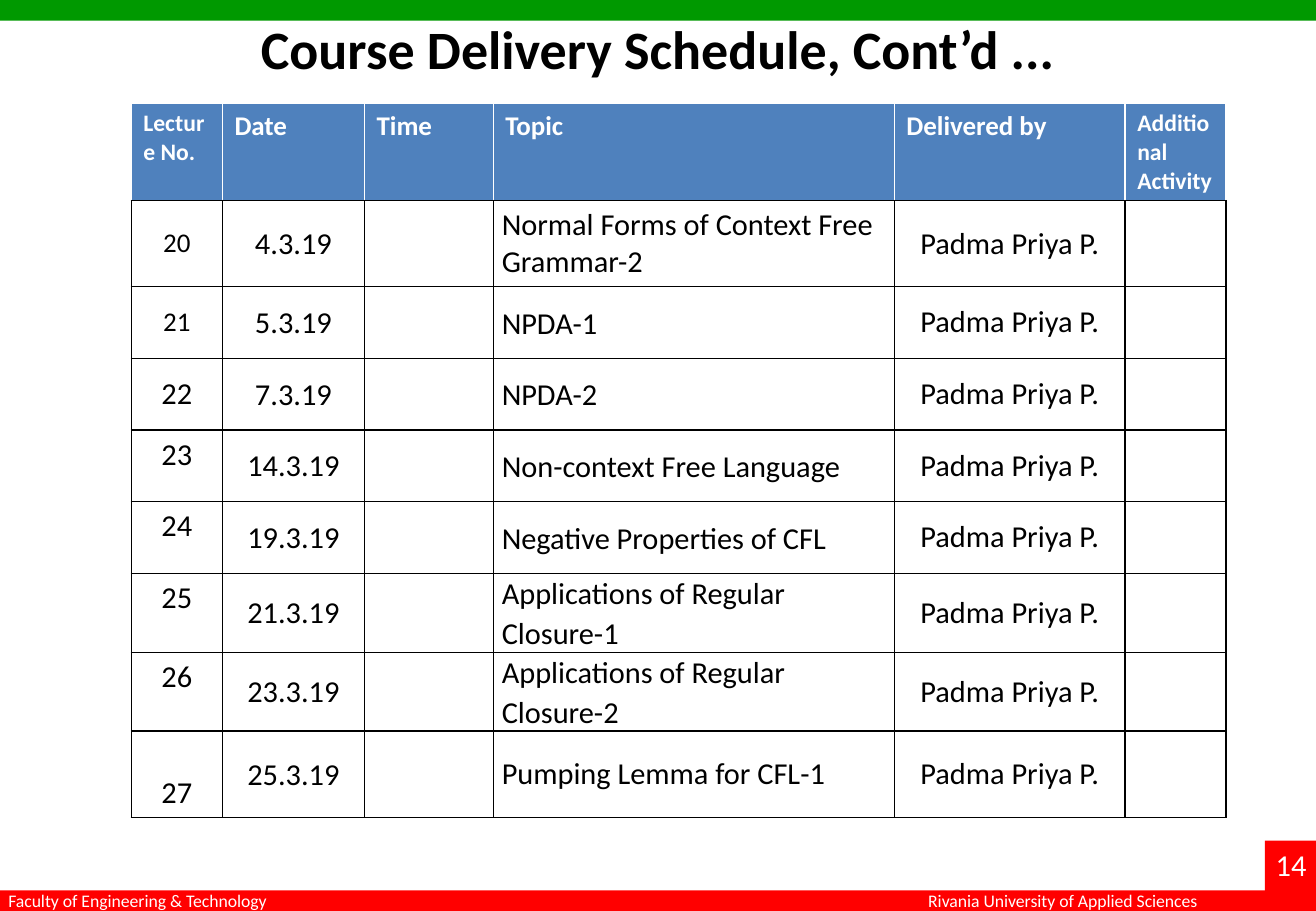
import pptx
import pptx.util
import pptx.dml.color
import pptx.enum.shapes
import pptx.enum.text
import pptx.oxml

Inches, Pt = pptx.util.Inches, pptx.util.Pt
RGB = pptx.dml.color.RGBColor.from_string
ALIGN, ANCHOR = pptx.enum.text.PP_ALIGN, pptx.enum.text.MSO_ANCHOR

THEME = {
    "font": "Calibri", "green": "009900", "red": "FF0000", "blue": "4F81BD",
    "white": "FFFFFF", "black": "000000",
    "title": 32, "body": 18, "head": 16, "small": 14, "footer": 10.5,
}
W, H = 10.83, 7.5
BAR = 0.17
BORDER = (
    '<a:{side} xmlns:a="http://schemas.openxmlformats.org/drawingml/2006/main" w="12700">'
    '<a:solidFill><a:srgbClr val="{color}"/></a:solidFill></a:{side}>'
)

prs = pptx.Presentation()
prs.slide_width, prs.slide_height = Inches(W), Inches(H)
s = prs.slides.add_slide(prs.slide_layouts[6])


def write(tf, text, size, color, align=ALIGN.LEFT, bold=False):
    tf.text = text
    p = tf.paragraphs[0]
    p.alignment = align
    for r in p.runs:
        r.font.name, r.font.size, r.font.bold = THEME["font"], Pt(size), bold
        r.font.color.rgb = RGB(THEME[color])
    return p


def style_cell(cell, fill, sides):
    tcPr = cell._tc.get_or_add_tcPr()
    for side, color in sides.items():
        tcPr.append(pptx.oxml.parse_xml(BORDER.format(side=side, color=THEME[color])))
    cell.fill.solid()
    cell.fill.fore_color.rgb = RGB(THEME[fill])


# Top bar, bottom bar and page number block
for x, y, w, h, color in [
    (0, 0, W, BAR, "green"),
    (0, H - BAR, W, BAR, "red"),
    (W - 0.42, H - 0.58, 0.42, 0.58, "red"),
]:
    sp = s.shapes.add_shape(pptx.enum.shapes.MSO_SHAPE.RECTANGLE,
                            Inches(x), Inches(y), Inches(w), Inches(h))
    sp.shadow.inherit = False
    sp.fill.solid()
    sp.fill.fore_color.rgb = RGB(THEME[color])
    sp.line.fill.background()

# Footer texts and page number
for x, y, w, h, text, size in [
    (-0.03, 7.28, 2.38, 0.28, "Faculty of Engineering & Technology", THEME["footer"]),
    (7.54, 7.28, 2.55, 0.28, "Rivania University of Applied Sciences", THEME["footer"]),
    (10.4, 6.92, 0.5, 0.4, "14", THEME["body"]),
]:
    sp = s.shapes.add_textbox(Inches(x), Inches(y), Inches(w), Inches(h))
    sp.text_frame.word_wrap = False
    write(sp.text_frame, text, size, "white")

# Title
sp = s.shapes.add_textbox(Inches(W * 0.05), Inches(0.05), Inches(W * 0.9), Inches(0.62))
tf = sp.text_frame
tf.word_wrap = True
tf.margin_top = Inches(0.08)
write(tf, "Course Delivery Schedule, Cont’d ...", THEME["title"], "black", ALIGN.CENTER, True)

# Schedule data
headers = ["Lecture No.", "Date", "Time", "Topic", "Delivered by", "Additional Activity"]
lectures = [
    ("4.3.19", "Normal Forms of Context Free Grammar-2"),
    ("5.3.19", "NPDA-1"),
    ("7.3.19", "NPDA-2"),
    ("14.3.19", "Non-context Free Language"),
    ("19.3.19", "Negative Properties of CFL"),
    ("21.3.19", "Applications of Regular Closure-1"),
    ("23.3.19", "Applications of Regular Closure-2"),
    ("25.3.19", "Pumping Lemma for CFL-1"),
]
FIRST, LAST = 20, 27
col_widths = [0.75, 1.17, 1.06, 3.3, 1.9, 0.83]
row_heights = [0.8, 0.71] + [0.59] * 4 + [0.65] * 2 + [0.71]

# Schedule table
table = s.shapes.add_table(len(row_heights), len(col_widths), Inches(1.08), Inches(0.85),
                           Inches(sum(col_widths)), Inches(sum(row_heights))).table
for column, width in zip(table.columns, col_widths):
    column.width = Inches(width)
for row, height in zip(table.rows, row_heights):
    row.height = Inches(height)

# Header row
for col, text in enumerate(headers):
    cell = table.cell(0, col)
    style_cell(cell, "blue", {"lnL": "white", "lnR": "white", "lnT": "white", "lnB": "black"})
    size = THEME["small"] if col in (0, len(headers) - 1) else THEME["head"]
    write(cell.text_frame, text, size, "white", bold=True)

# Lecture rows
for row, (date, topic) in enumerate(lectures, 1):
    number = FIRST + row - 1
    for col, text in enumerate([str(number), date, "", topic, "Padma Priya P.", ""]):
        cell = table.cell(row, col)
        style_cell(cell, "white", dict.fromkeys(("lnL", "lnR", "lnT", "lnB"), "black"))
        cell.vertical_anchor = ANCHOR.MIDDLE
        size = THEME["head"] if col == 0 and number < 22 else THEME["body"]
        p = write(cell.text_frame, text, size, "black",
                  ALIGN.LEFT if headers[col] == "Topic" else ALIGN.CENTER)
        if col == 0 and number > 22:
            cell.vertical_anchor = ANCHOR.BOTTOM if number == LAST else ANCHOR.TOP
        elif headers[col] == "Date":
            cell.margin_left = cell.margin_right = cell.margin_top = Inches(0.01)
            cell.margin_bottom = 0
        elif headers[col] == "Topic":
            cell.margin_left = cell.margin_right = Inches(0.07)
            cell.margin_top = cell.margin_bottom = 0
            if FIRST < number < LAST:
                p.line_spacing = 1.07

prs.save("out.pptx")
